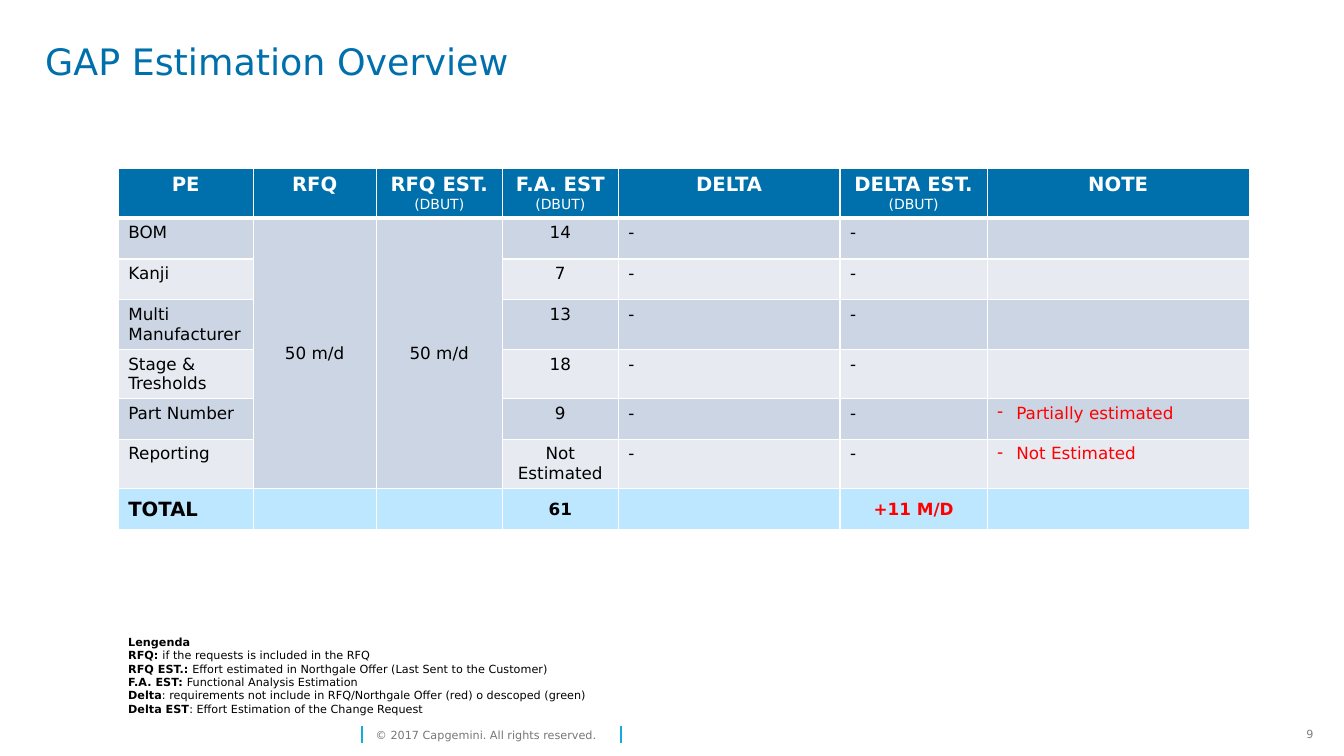
from lxml.etree import SubElement
from pptx import Presentation
from pptx.dml.color import RGBColor
from pptx.enum.text import MSO_ANCHOR, MSO_AUTO_SIZE, PP_ALIGN
from pptx.oxml import parse_xml
from pptx.oxml.ns import nsdecls, qn
from pptx.util import Cm, Pt

TITLE = "GAP Estimation Overview"
COPYRIGHT = "© 2017 Capgemini. All rights reserved."
PAGE = "9"
UNIT = ("(DBUT)", {"size": 10, "bold": False})
HEADINGS = [
    [["PE"]],
    [["RFQ"]],
    [["RFQ EST. ", UNIT]],
    [["F.A. EST ", UNIT]],
    [["DELTA"]],
    [["DELTA EST."], [UNIT]],
    [["NOTE"]],
]
ESTIMATES = [
    ("BOM", "50 m/d", "50 m/d", "14", "-", "-", ""),
    ("Kanji", "", "", "7", "-", "-", ""),
    ("Multi Manufacturer", "", "", "13", "-", "-", ""),
    ("Stage & Tresholds", "", "", "18", "-", "-", ""),
    ("Part Number", "", "", "9", "-", "-", "Partially estimated"),
    ("Reporting", "", "", "Not Estimated", "-", "-", "Not Estimated"),
]
TOTALS = ("TOTAL", "", "", "61", "", "+11 M/D", "")
LEGEND = [
    ("Lengenda", ""),
    ("RFQ: ", "if the requests is included in the RFQ"),
    ("RFQ EST.: ", "Effort estimated in Northgale Offer (Last Sent to the Customer)"),
    ("F.A. EST: ", "Functional Analysis Estimation"),
    ("Delta", ": requirements not include in RFQ/Northgale Offer (red) o descoped (green)"),
    ("Delta EST", ": Effort Estimation of the Change Request"),
]
COLUMN_WIDTHS = [3.4, 3.1, 3.18, 2.92, 5.59, 3.71, 6.6]
ROW_HEIGHT = 1.02
BLUE, RED, WHITE, BLACK = "0070AD", "FF0000", "FFFFFF", "000000"
BANDS = ["CCD5E3", "E7EBF1"]
TOTAL_FILL = "BCE7FF"
CENTRED = {2: True, 1: True, 3: True, 5: False}


def color(code):
    return RGBColor.from_string(code)


def write(frame, paragraphs, size=12, ink=BLACK, bold=False, align=PP_ALIGN.LEFT,
          spacing=None, dashed=False):
    for index, runs in enumerate(paragraphs):
        paragraph = frame.paragraphs[0] if index == 0 else frame.add_paragraph()
        paragraph.alignment = align
        if spacing:
            paragraph.line_spacing = spacing
        if dashed:
            properties = paragraph._p.get_or_add_pPr()
            properties.set("marL", str(Cm(0.48)))
            properties.set("indent", str(-Cm(0.48)))
            SubElement(properties, qn("a:buChar")).set("char", "-")
        for part in runs:
            words, changes = (part, {}) if isinstance(part, str) else part
            look = {"size": size, "bold": bold, **changes}
            run = paragraph.add_run()
            run.text = words
            run.font.name = "DejaVu Sans"
            run.font.size = Pt(look["size"])
            run.font.bold = look["bold"]
            run.font.color.rgb = color(ink)


def add_text(slide, box, paragraphs, inset=0, anchor=MSO_ANCHOR.TOP, **look):
    frame = slide.shapes.add_textbox(*map(Cm, box)).text_frame
    frame.word_wrap = True
    frame.vertical_anchor = anchor
    frame.margin_left = frame.margin_right = Cm(inset)
    frame.margin_top = frame.margin_bottom = Cm(inset / 2)
    write(frame, paragraphs, **look)


def style_cell(cell, fill, top=1, bottom=1):
    cell.fill.solid()
    cell.fill.fore_color.rgb = color(fill)
    widths = {"lnL": 1, "lnR": 1, "lnT": top, "lnB": bottom}
    for position, (edge, width) in enumerate(widths.items()):
        cell._tc.get_or_add_tcPr().insert(position, parse_xml(
            f'<a:{edge} {nsdecls("a")} w="{Pt(width)}"><a:solidFill>'
            f'<a:srgbClr val="{WHITE}"/></a:solidFill></a:{edge}>'))


def add_estimates(slide):
    row_count = len(ESTIMATES) + 2
    table = slide.shapes.add_table(
        row_count, len(COLUMN_WIDTHS), Cm(2.98), Cm(4.25),
        Cm(sum(COLUMN_WIDTHS)), Cm(ROW_HEIGHT * row_count)).table
    for column, width in zip(table.columns, COLUMN_WIDTHS):
        column.width = Cm(width)
    for row in table.rows:
        row.height = Cm(ROW_HEIGHT)

    for column, heading in enumerate(HEADINGS):
        cell = table.cell(0, column)
        style_cell(cell, BLUE, bottom=3)
        write(cell.text_frame, heading, size=14, ink=WHITE, bold=True,
              align=PP_ALIGN.CENTER)

    for row, estimate in enumerate(ESTIMATES, 1):
        for column, value in enumerate(estimate):
            cell = table.cell(row, column)
            merged = column in (1, 2)
            style_cell(cell, BANDS[0 if merged else (row - 1) % 2],
                       top=3 if row == 1 else 1)
            if merged:
                cell.vertical_anchor = MSO_ANCHOR.MIDDLE
            if value:
                note = column == 6
                write(cell.text_frame, [[value]], ink=RED if note else BLACK, dashed=note,
                      align=PP_ALIGN.CENTER if column in (1, 2, 3) else PP_ALIGN.LEFT)
    for column in (1, 2):
        table.cell(1, column).merge(table.cell(len(ESTIMATES), column))

    for column, value in enumerate(TOTALS):
        cell = table.cell(row_count - 1, column)
        style_cell(cell, TOTAL_FILL)
        cell.vertical_anchor = MSO_ANCHOR.MIDDLE
        if value:
            write(cell.text_frame, [[value]], size=12 if column else 14, bold=True,
                  ink=RED if column == 5 else BLACK,
                  align=PP_ALIGN.CENTER if column else PP_ALIGN.LEFT)


def add_footer(slide):
    add_text(slide, (32.74, 18.21, 0.43, 0.61), [[PAGE]], inset=0.25, size=8,
             ink="808080", align=PP_ALIGN.RIGHT)
    add_text(slide, (9.47, 18.21, 6.1, 0.61), [[COPYRIGHT]], size=8, ink="767676",
             anchor=MSO_ANCHOR.MIDDLE)
    for x in (9.12, 15.65):
        bar = slide.shapes.add_connector(1, Cm(x), Cm(18.72), Cm(x), Cm(18.29))
        bar.line.color.rgb = color("12ABDB")
        bar.line.width = Pt(1)
        SubElement(bar._element.spPr, qn("a:effectLst"))


def main():
    deck = Presentation()
    deck.slide_width, deck.slide_height = Cm(33.87), Cm(19.05)
    slide = deck.slides.add_slide(deck.slide_layouts[5])

    title = slide.shapes.title
    title.left, title.top, title.width, title.height = map(Cm, (1.14, 1.12, 30.4, 1.45))
    frame = title.text_frame
    frame.margin_left = frame.margin_right = frame.margin_top = frame.margin_bottom = 0
    frame.vertical_anchor = MSO_ANCHOR.TOP
    frame.auto_size = MSO_AUTO_SIZE.NONE
    write(frame, [[TITLE]], size=26, ink=BLUE, spacing=0.9)

    add_estimates(slide)
    legend = [[(term, {"bold": True})] + ([meaning] if meaning else [])
              for term, meaning in LEGEND]
    add_text(slide, (2.98, 15.88, 12.42, 2.31), legend, inset=0.25, size=8)
    add_footer(slide)
    deck.save("out.pptx")


if __name__ == "__main__":
    main()
